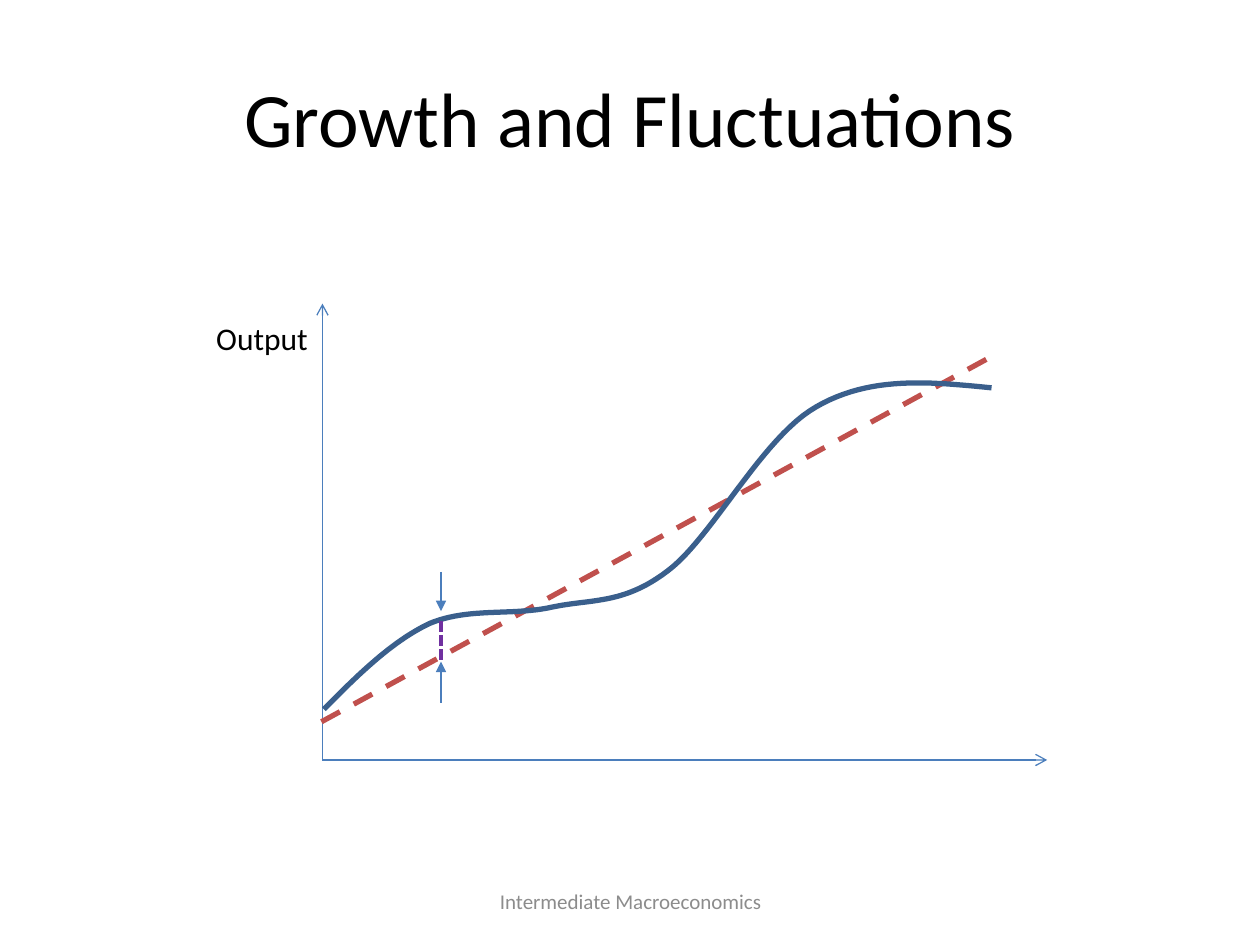
from lxml import etree
from pptx import Presentation
from pptx import util as u
from pptx.dml.color import RGBColor
from pptx.enum import dml, shapes, text
from pptx.oxml.ns import qn

FONT = "Calibri"
THIN = "4B7EBC"

# Output path in cm: a start point, then cubic segments (two controls, one end)
START = (6.53, 14.3)
CURVES = [
    ((7.21, 13.61), (7.9, 12.93), (8.66, 12.57)),
    ((9.45, 12.24), (10.34, 12.42), (11.13, 12.24)),
    ((11.94, 12.07), (12.57, 12.19), (13.46, 11.51)),
    ((14.35, 10.85), (15.37, 8.81), (16.46, 8.2)),
    ((17.55, 7.57), (18.77, 7.7), (19.99, 7.82)),
]
STEPS = 24


def color(code):
    return RGBColor.from_string(code)


def place(shape, left, top, width, height):
    shape.left, shape.top = u.Cm(left), u.Cm(top)
    shape.width, shape.height = u.Cm(width), u.Cm(height)


def write(shape, words, size, code, align, anchor):
    frame = shape.text_frame
    frame.word_wrap = True
    frame.vertical_anchor = anchor
    para = frame.paragraphs[0]
    para.text = words
    para.alignment = align
    para.font.name = FONT
    para.font.size = u.Pt(size)
    para.font.color.rgb = color(code)


def add_label(slide, box, words, size, code, align, anchor):
    label = slide.shapes.add_textbox(*(u.Cm(n) for n in box))
    write(label, words, size, code, align, anchor)


def add_line(slide, start, end, code=THIN, width=0.75, dash=None, tip=None):
    ends = [u.Cm(n) for n in (*start, *end)]
    link = slide.shapes.add_connector(shapes.MSO_CONNECTOR.STRAIGHT, *ends)
    link.line.color.rgb = color(code)
    link.line.width = u.Pt(width)
    if dash is not None:
        link.line.dash_style = dash
    props = link._element.spPr
    if tip:
        etree.SubElement(props.find(qn("a:ln")), qn("a:tailEnd"), type=tip)
    etree.SubElement(props, qn("a:effectLst"))


def bezier(a, b, c, d, t):
    s = 1 - t
    return tuple(
        u.Cm(s**3 * p + 3 * s * s * t * q + 3 * s * t * t * r + t**3 * v)
        for p, q, r, v in zip(a, b, c, d)
    )


def add_curve(slide, start, curves, code, width):
    points, last = [], start
    for first, second, end in curves:
        points += [bezier(last, first, second, end, i / STEPS)
                   for i in range(1, STEPS + 1)]
        last = end
    pen = slide.shapes.build_freeform(u.Cm(start[0]), u.Cm(start[1]))
    pen.add_line_segments(points, close=False)
    curve = pen.convert_to_shape()
    curve.shadow.inherit = False
    curve.fill.background()
    curve.line.color.rgb = color(code)
    curve.line.width = u.Pt(width)


def main():
    deck = Presentation()
    deck.slide_width, deck.slide_height = u.Cm(25.4), u.Cm(19.05)
    slide = deck.slides.add_slide(deck.slide_layouts[5])
    mid, top = text.MSO_ANCHOR.MIDDLE, text.MSO_ANCHOR.TOP
    left, center = text.PP_ALIGN.LEFT, text.PP_ALIGN.CENTER

    # Title and footer
    title = slide.shapes.title
    place(title, 1.27, 0.76, 22.86, 3.18)
    write(title, "Growth and Fluctuations", 44, "000000", center, mid)
    add_label(slide, (8.69, 17.65, 8.05, 1.02), "Intermediate Macroeconomics",
              12, "8C8C8C", center, mid)

    # Axes
    origin = (6.5, 15.32)
    for end in ((21.11, 15.32), (6.5, 6.12)):
        add_line(slide, origin, end, tip="arrow")

    # Growth trend and actual output
    add_line(slide, (6.48, 14.55), (19.89, 7.24), "C0504D", 3,
             dml.MSO_LINE.DASH)
    add_label(slide, (4.11, 6.3, 4.75, 1.02), "Output", 18, "000000",
              left, top)
    add_curve(slide, START, CURVES, "3A5F8C", 3)

    # Gap between output and trend
    gap = 8.89
    add_line(slide, (gap, 12.52), (gap, 13.34), "7030A0", 2,
             dml.MSO_LINE.SQUARE_DOT)
    for tail, head in ((11.53, 12.32), (14.17, 13.34)):
        add_line(slide, (gap, tail), (gap, head), tip="triangle")

    deck.save("out.pptx")


if __name__ == "__main__":
    main()
